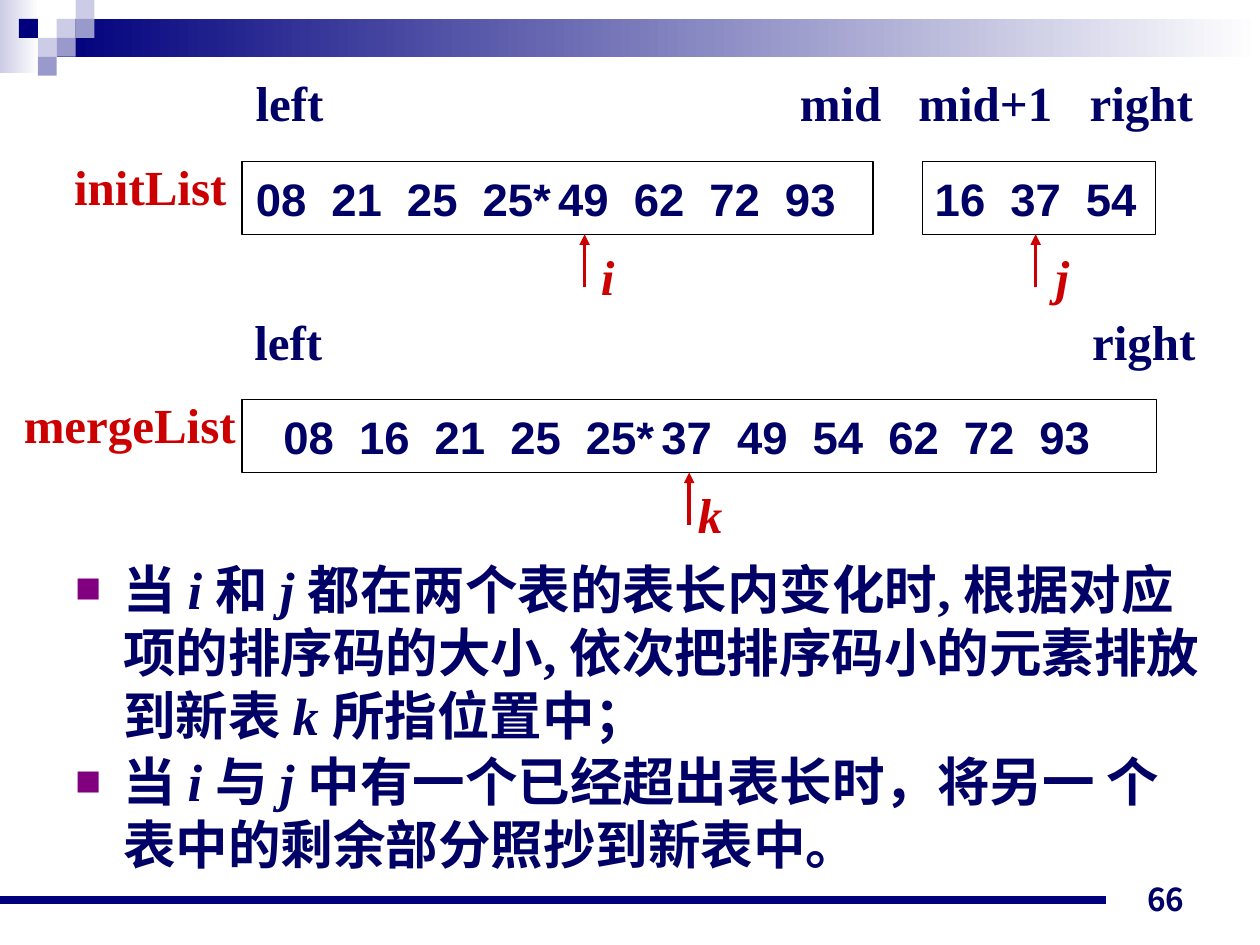
import pptx
import pptx.util
import pptx.dml.color
import pptx.enum.shapes
import pptx.enum.text
import pptx.oxml.ns
from lxml import etree

Inches = pptx.util.Inches
Pt = pptx.util.Pt
RGBColor = pptx.dml.color.RGBColor
RECTANGLE = pptx.enum.shapes.MSO_SHAPE.RECTANGLE
STRAIGHT = pptx.enum.shapes.MSO_CONNECTOR.STRAIGHT
ANCHOR = pptx.enum.text.MSO_ANCHOR
ALIGN = pptx.enum.text.PP_ALIGN

NAVY = RGBColor(0x00, 0x00, 0x7D)
TEXT_BLUE = RGBColor(0x00, 0x00, 0x66)
RED = RGBColor(0xCC, 0x00, 0x00)
PALE = RGBColor(0xCC, 0xCC, 0xE6)
LAVENDER = RGBColor(0x99, 0x99, 0xCC)
PURPLE = RGBColor(0x80, 0x00, 0x80)
WHITE = RGBColor(0xFF, 0xFF, 0xFF)
BLACK = RGBColor(0x00, 0x00, 0x00)

SERIF = "Times New Roman"
SANS = "Arial"
CHINESE = "Noto Sans CJK JP"

TILE = 0.15
NUMBER_PITCH = 0.6


def add_element(parent, tag, **attributes):
    return etree.SubElement(parent, pptx.oxml.ns.qn(tag), attributes)


def style_font(font, name, size, color, italic=False):
    font.name = name
    font.size = Pt(size)
    font.color.rgb = color
    font.bold = True
    font.italic = italic


def add_rectangle(slide, left, top, width, height, color, fade_to=None):
    shape = slide.shapes.add_shape(
        RECTANGLE, Inches(left), Inches(top), Inches(width), Inches(height))
    shape.shadow.inherit = False
    shape.line.fill.background()
    if fade_to is None:
        shape.fill.solid()
        shape.fill.fore_color.rgb = color
    else:
        shape.fill.gradient()
        shape.fill.gradient_angle = 0
        for stop, stop_color in zip(shape.fill.gradient_stops, (color, fade_to)):
            stop.color.rgb = stop_color
    return shape


def add_line(slide, start, end, color, width, arrow=False):
    line = slide.shapes.add_connector(STRAIGHT, *map(Inches, start + end))
    line.line.color.rgb = color
    line.line.width = Pt(width)
    if arrow:
        add_element(line.line._get_or_add_ln(), "a:tailEnd", type="triangle")
    add_element(line._element.spPr, "a:effectLst")


def add_text_box(slide, left, top, width, height, wrap=True):
    box = slide.shapes.add_textbox(
        Inches(left), Inches(top), Inches(width), Inches(height))
    box.text_frame.word_wrap = wrap
    return box.text_frame


def add_label(slide, text, left, top, width, color=TEXT_BLUE, italic=False):
    frame = add_text_box(slide, left, top, width, 0.57, wrap=False)
    paragraph = frame.paragraphs[0]
    paragraph.text = text
    style_font(paragraph.font, SERIF, 28, color, italic)


def add_list_box(slide, numbers, left, top, width, indent):
    """Outlined box whose numbers sit on evenly spaced tab stops."""
    shape = add_rectangle(slide, left, top, width, 0.58, WHITE)
    shape.line.color.rgb = BLACK
    shape.line.width = Pt(0.75)
    frame = shape.text_frame
    frame.word_wrap = True
    frame.vertical_anchor = ANCHOR.MIDDLE
    frame.margin_left = Inches(indent)
    frame.margin_right = 0
    paragraph = frame.paragraphs[0]
    paragraph.text = "\t".join(numbers.split())
    paragraph.alignment = ALIGN.LEFT
    tabs = add_element(paragraph._p.get_or_add_pPr(), "a:tabLst")
    for index in range(1, len(numbers.split())):
        add_element(tabs, "a:tab", pos=str(Inches(NUMBER_PITCH * index)), algn="l")
    style_font(paragraph.font, SANS, 26, TEXT_BLUE)


def add_pointer(slide, name, x, tip, label_left):
    add_line(slide, (x, tip + 0.42), (x, tip), RED, 2, arrow=True)
    add_label(slide, name, label_left, tip + 0.05, 0.39, RED, italic=True)


def add_bullet(paragraph, runs):
    """Runs alternate between upright and italic, starting upright."""
    properties = paragraph._p.get_or_add_pPr()
    properties.set("marL", str(Inches(0.38)))
    properties.set("indent", str(Inches(-0.38)))
    bullet_color = add_element(properties, "a:buClr")
    add_element(bullet_color, "a:srgbClr", val=str(PURPLE))
    add_element(properties, "a:buSzPct", val="50000")
    add_element(properties, "a:buFont", typeface=CHINESE)
    add_element(properties, "a:buChar", char="■")
    style_font(paragraph.font, SERIF, 30, TEXT_BLUE)
    add_element(paragraph.font._element, "a:ea", typeface=CHINESE)
    paragraph.line_spacing = Pt(36)
    for index, text in enumerate(runs):
        run = paragraph.add_run()
        run.text = text
        run.font.italic = index % 2 == 1


def add_decoration(slide):
    add_rectangle(slide, 0, 0, 0.31, 0.58, PALE, fade_to=WHITE)
    add_rectangle(slide, 0.45, 0.15, 9.55, 0.3, NAVY, fade_to=WHITE)
    tiles = [(3, 1, PALE), (4, 0, PALE), (4, 1, LAVENDER), (2, 2, PALE),
             (1, 1, NAVY), (3, 2, LAVENDER), (2, 3, LAVENDER)]
    for column, row, color in tiles:
        add_rectangle(slide, column * TILE, row * TILE, TILE, TILE, color)
    add_line(slide, (0, 7.14), (8.78, 7.14), NAVY, 4.5)


def add_page_number(slide, number):
    frame = add_text_box(slide, 7.17, 6.83, 2.33, 0.5)
    frame.vertical_anchor = ANCHOR.BOTTOM
    paragraph = frame.paragraphs[0]
    paragraph.text = number
    paragraph.alignment = ALIGN.RIGHT
    style_font(paragraph.font, CHINESE, 18, TEXT_BLUE)


def add_explanation(slide):
    frame = add_text_box(slide, 0.5, 4.37, 9.15, 2.89)
    add_bullet(frame.paragraphs[0], [
        "当 ", "i ", "和 ", "j ",
        "都在两个表的表长内变化时, 根据对应项的排序码的大小, 依次把排序码小的元素排放到新表 ",
        "k ", "所指位置中；"])
    second = frame.add_paragraph()
    add_bullet(second, [
        "当 ", "i ", "与 ", "j ",
        "中有一个已经超出表长时，将另一 个表中的剩余部分照抄到新表中。"])
    second.space_before = Pt(1.9)


def main():
    presentation = pptx.Presentation()
    presentation.slide_width = Inches(10)
    presentation.slide_height = Inches(7.5)
    slide = presentation.slides.add_slide(presentation.slide_layouts[6])

    add_decoration(slide)
    add_page_number(slide, "66")

    # Source list in two sorted parts
    add_list_box(slide, "08 21 25 25* 49 62 72 93", 1.92, 1.28, 5.01, 0.11)
    add_list_box(slide, "16 37 54", 7.32, 1.28, 1.85, 0.1)
    for text, left, width in [("left", 1.93, 0.74), ("mid", 6.25, 0.85),
                              ("mid+1", 7.19, 1.26), ("right", 8.55, 1.02)]:
        add_label(slide, text, left, 0.53, width)
    add_label(slide, "initList", 0.49, 1.19, 1.41, RED)
    add_pointer(slide, "i", 4.64, 1.86, 4.67)
    add_pointer(slide, "j", 8.22, 1.86, 8.28)

    # Merged list
    add_list_box(slide, "08 16 21 25 25* 37 49 54 62 72 93", 1.92, 3.17, 7.26, 0.33)
    add_label(slide, "left", 1.92, 2.42, 0.74)
    add_label(slide, "right", 8.57, 2.42, 1.02)
    add_label(slide, "mergeList", 0.09, 3.08, 1.88, RED)
    add_pointer(slide, "k", 5.47, 3.75, 5.44)

    add_explanation(slide)
    presentation.save("out.pptx")


if __name__ == "__main__":
    main()
